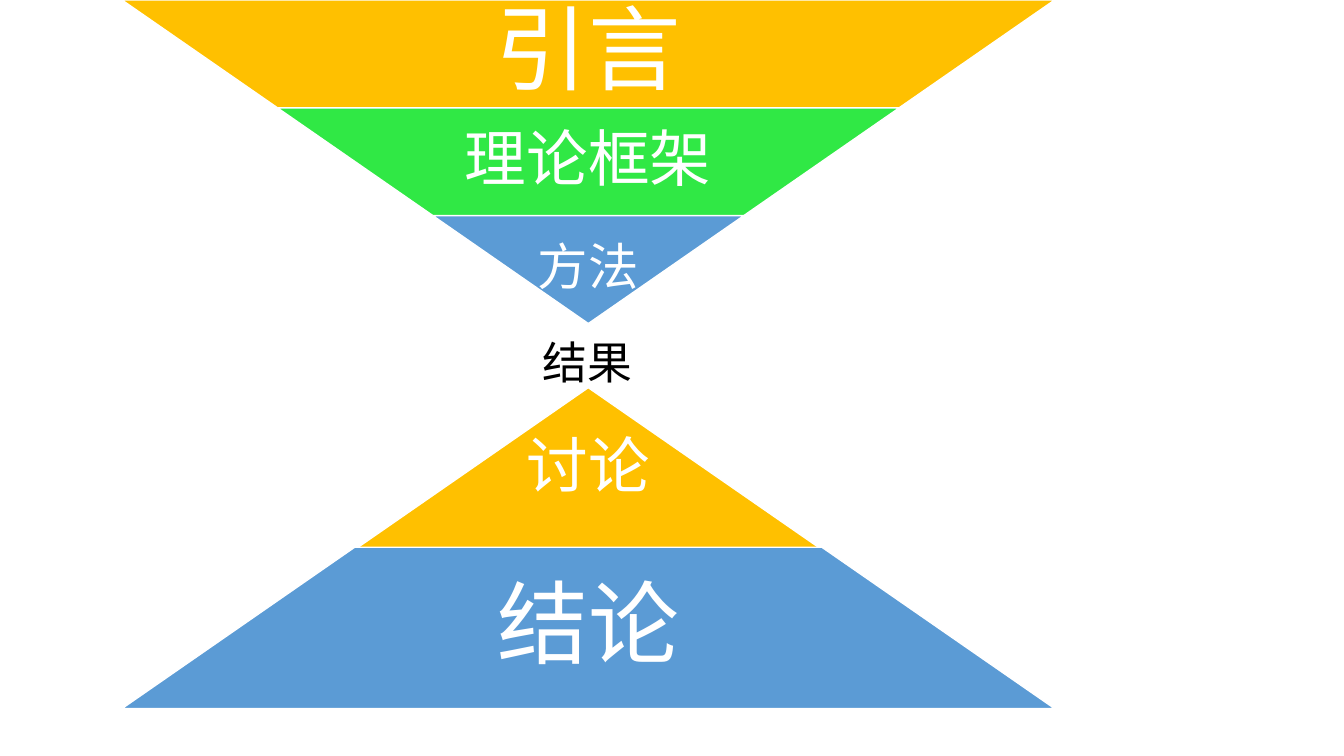
"""Build an hourglass slide showing the sections of a research paper."""
from pptx import Presentation
from pptx.dml.color import RGBColor
from pptx.enum.shapes import MSO_SHAPE
from pptx.enum.text import MSO_ANCHOR, PP_ALIGN
from pptx.oxml.ns import qn
from pptx.util import Inches, Pt
from lxml.etree import SubElement

FONT = "Noto Sans CJK SC"
CENTER = 5.835
FULL_WIDTH = 9.25
SLOPE = 1.442
LABEL_SHARE = 0.65

FUNNEL = {
    "top": 0, "height": 1.07, "step": 1.07, "rotation": 180,
    "widths": [FULL_WIDTH, FULL_WIDTH * 2 / 3, FULL_WIDTH / 3],
    "bands": [("引言", "FFC000", 66, 0.09),
              ("理论框架", "30E845", 44, 0.06),
              ("方法", "5B9BD5", 36, 0.05)],
}
PYRAMID = {
    "top": 3.85, "height": 1.6, "step": 1.58, "rotation": 0,
    "widths": [FULL_WIDTH / 2, FULL_WIDTH],
    "bands": [("讨论", "FFC000", 44, 0.06),
              ("结论", "5B9BD5", 65, 0.09)],
}
NECK = ("结果", 3.27, 1.11, 0.64, 32)


def color(value):
    return RGBColor.from_string(value)


def add_label(shapes, text, left, top, width, height, *, size, fill="FFFFFF",
              margin=None, align=PP_ALIGN.CENTER, anchor=MSO_ANCHOR.MIDDLE,
              line_spacing=0.9):
    box = shapes.add_textbox(Inches(left), Inches(top), Inches(width), Inches(height))
    frame = box.text_frame
    frame.word_wrap = True
    frame.vertical_anchor = anchor
    if margin is not None:
        frame.margin_left = frame.margin_right = Inches(margin)
        frame.margin_top = frame.margin_bottom = Inches(margin)
    paragraph = frame.paragraphs[0]
    paragraph.alignment = align
    paragraph.line_spacing = line_spacing
    run = paragraph.add_run()
    run.text = text
    run.font.size = Pt(size)
    run.font.color.rgb = color(fill)
    run.font.name = FONT
    SubElement(run.font._element, qn("a:ea")).set("typeface", FONT)


def add_band(shapes, left, top, width, height, *, fill, rotation):
    band = shapes.add_shape(MSO_SHAPE.TRAPEZOID, Inches(left), Inches(top),
                            Inches(width), Inches(height))
    band.adjustments[0] = SLOPE
    band.rotation = rotation
    band.shadow.inherit = False
    band.fill.solid()
    band.fill.fore_color.rgb = color(fill)
    band.line.color.rgb = color("FFFFFF")
    band.line.width = Pt(1)


def add_stack(slide, stack):
    shapes = slide.shapes.add_group_shape().shapes
    height = stack["height"]
    tip_width = min(stack["widths"])
    for index, (band, width) in enumerate(zip(stack["bands"], stack["widths"])):
        text, fill, size, margin = band
        top = stack["top"] + index * stack["step"]
        add_band(shapes, CENTER - width / 2, top, width, height,
                 fill=fill, rotation=stack["rotation"])
        label_width = width if width == tip_width else width * LABEL_SHARE
        add_label(shapes, text, CENTER - label_width / 2, top, label_width, height,
                  size=size, margin=margin)


def main():
    presentation = Presentation()
    presentation.slide_width = Inches(13.33)
    presentation.slide_height = Inches(7.5)
    slide = presentation.slides.add_slide(presentation.slide_layouts[6])
    for stack in (FUNNEL, PYRAMID):
        add_stack(slide, stack)
    text, top, width, height, size = NECK
    add_label(slide.shapes, text, CENTER - width / 2, top, width, height, size=size,
              fill="000000", align=PP_ALIGN.LEFT, anchor=MSO_ANCHOR.TOP,
              line_spacing=1.0)
    presentation.save("out.pptx")


if __name__ == "__main__":
    main()
